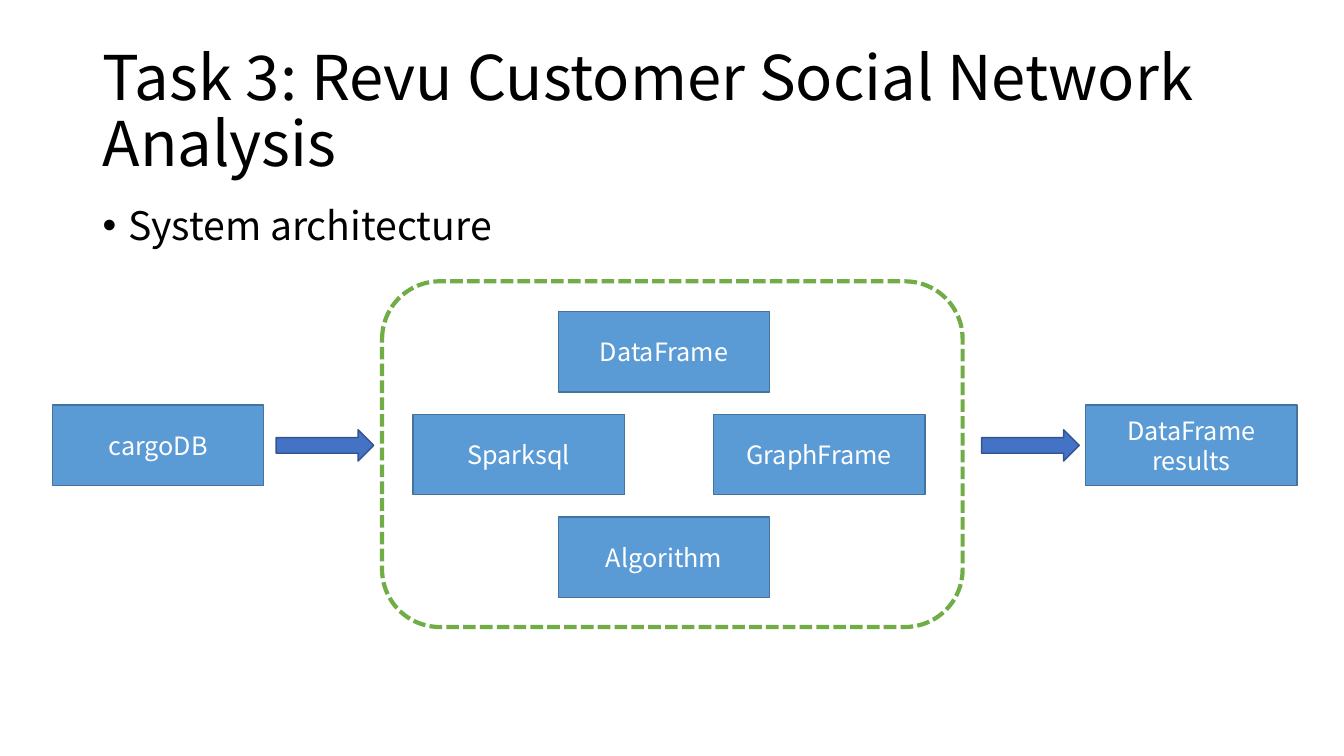
"""Build the system architecture slide for the social network analysis task."""
import dataclasses

import lxml.etree
import pptx
import pptx.dml.color
import pptx.enum.dml
import pptx.enum.shapes
import pptx.enum.text
import pptx.oxml.ns
import pptx.util

Cm = pptx.util.Cm
Pt = pptx.util.Pt
SHAPES = pptx.enum.shapes.MSO_SHAPE
ALIGN = pptx.enum.text.PP_ALIGN
ANCHOR = pptx.enum.text.MSO_ANCHOR


@dataclasses.dataclass(frozen=True)
class Theme:
    font: str = "Noto Sans CJK SC"
    text: str = "000000"
    box_text: str = "FFFFFF"
    box_fill: str = "5B9BD5"
    box_line: str = "43739E"
    arrow_fill: str = "4472C4"
    arrow_line: str = "325491"
    frame_line: str = "70AD47"
    title_size: int = 44
    body_size: int = 28
    box_size: int = 18


theme = Theme()


def add_span(para, text, size, color):
    span = para.add_run()
    span.text = text
    span.font.name = theme.font
    span.font.size = Pt(size)
    span.font.color.rgb = pptx.dml.color.RGBColor.from_string(color)


def add_figure(page, kind, place, fill, line, width=1):
    figure = page.shapes.add_shape(kind, *map(Cm, place))
    figure.shadow.inherit = False
    if fill:
        figure.fill.solid()
        figure.fill.fore_color.rgb = pptx.dml.color.RGBColor.from_string(fill)
    else:
        figure.fill.background()
    figure.line.color.rgb = pptx.dml.color.RGBColor.from_string(line)
    figure.line.width = Pt(width)
    return figure


deck = pptx.Presentation()
deck.slide_width = Cm(33.87)
deck.slide_height = Cm(19.05)
page = deck.slides.add_slide(deck.slide_layouts[6])

headings = [
    ("Task 3: Revu Customer Social Network Analysis", (2.34, 1.02, 30.81, 3.68),
     theme.title_size, ANCHOR.MIDDLE, False),
    ("System architecture", (2.34, 5.08, 29.21, 12.09),
     theme.body_size, ANCHOR.TOP, True),
]
for text, place, size, anchor, bulleted in headings:
    box = page.shapes.add_textbox(*map(Cm, place))
    box.text_frame.word_wrap = True
    box.text_frame.vertical_anchor = anchor
    para = box.text_frame.paragraphs[0]
    para.line_spacing = 0.9
    add_span(para, text, size, theme.text)
    if bulleted:
        para.space_before = Pt(10)
        properties = para._p.get_or_add_pPr()
        properties.set("marL", str(Cm(0.64)))
        properties.set("indent", str(Cm(-0.64)))
        bullet_font = lxml.etree.SubElement(properties, pptx.oxml.ns.qn("a:buFont"))
        bullet_font.set("typeface", "Arial")
        bullet = lxml.etree.SubElement(properties, pptx.oxml.ns.qn("a:buChar"))
        bullet.set("char", "•")

frame = add_figure(page, SHAPES.ROUNDED_RECTANGLE, (9.63, 7.09, 14.63, 8.71),
                   None, theme.frame_line, 3)
frame.line.dash_style = pptx.enum.dml.MSO_LINE.SQUARE_DOT

box_width, box_height = 5.33, 2.03
center_left, center_top, row_step = 14.07, 10.44, 2.59
outer_top = 10.21
components = [
    (["cargoDB"], 1.32, outer_top),
    (["DataFrame"], center_left, center_top - row_step),
    (["Sparksql"], 10.41, center_top),
    (["GraphFrame"], 17.98, center_top),
    (["Algorithm"], center_left, center_top + row_step),
    (["DataFrame", "results"], 27.36, outer_top),
]
for lines, left, top in components:
    box = add_figure(page, SHAPES.RECTANGLE, (left, top, box_width, box_height),
                     theme.box_fill, theme.box_line)
    box.text_frame.word_wrap = True
    box.text_frame.vertical_anchor = ANCHOR.MIDDLE
    for index, text in enumerate(lines):
        para = box.text_frame.add_paragraph() if index else box.text_frame.paragraphs[0]
        para.alignment = ALIGN.CENTER
        add_span(para, text, theme.box_size, theme.box_text)

for left in (6.96, 24.74):
    add_figure(page, SHAPES.RIGHT_ARROW, (left, 10.83, 2.46, 0.79),
               theme.arrow_fill, theme.arrow_line)

deck.save("out.pptx")
